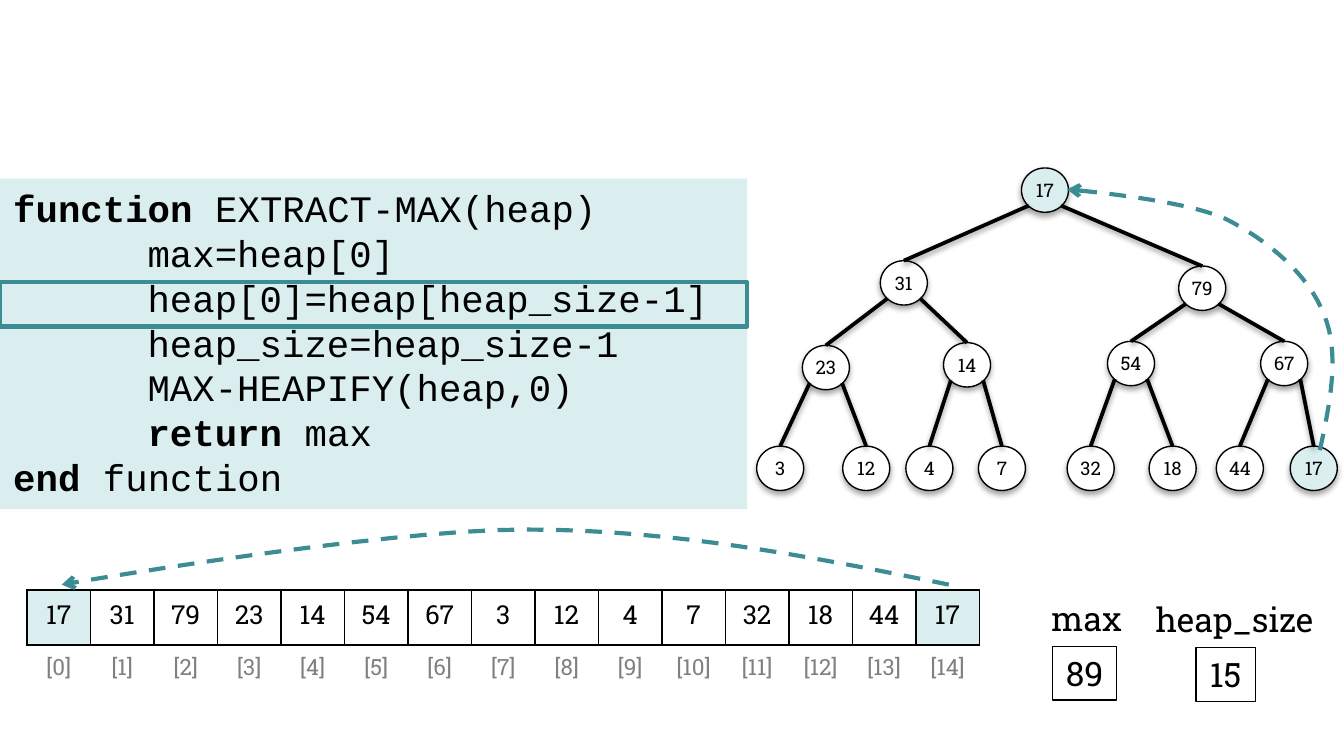
from dataclasses import dataclass
from typing import Optional

from lxml.etree import SubElement
from pptx import Presentation
from pptx.dml.color import RGBColor
from pptx.enum.dml import MSO_LINE_DASH_STYLE as Dash
from pptx.enum.shapes import MSO_CONNECTOR as Connector, MSO_SHAPE as Preset
from pptx.enum.text import MSO_ANCHOR as Anchor, PP_ALIGN as Align
from pptx.oxml.ns import qn
from pptx.util import Inches, Pt

BLACK = RGBColor(0x00, 0x00, 0x00)
WHITE = RGBColor(0xFF, 0xFF, 0xFF)
GRAY = RGBColor(0x80, 0x80, 0x80)
TEAL = RGBColor(0x3C, 0x8C, 0x93)
PALE = RGBColor(0xDA, 0xED, 0xEF)
SLAB, CODE = "Roboto Slab", "Courier New"
NO_STYLE = "{2D5ABB26-0587-4C30-8999-92F81FD0307C}"

NODE_WIDTH, NODE_HEIGHT = 0.35, 0.33
EDGE_SPREAD, EDGE_DROP = 0.12, 0.28
HEAP = [17, 31, 79, 23, 14, 54, 67, 3, 12, 4, 7, 32, 18, 44, 17]
MOVED = (0, len(HEAP) - 1)
LEAF_TOP = 3.32
NODE_PLACES = [
    (7.6, 1.25), (6.55, 1.94), (8.77, 1.98),
    (5.97, 2.57), (7.02, 2.55), (8.24, 2.54), (9.38, 2.54),
    *((left, LEAF_TOP) for left in (5.63, 6.27, 6.74, 7.28, 7.94, 8.55, 9.05, 9.6)),
]
CODE_LINES = [
    [("function", True), (" EXTRACT-MAX(heap)", False)],
    [("\tmax=heap[0]", False)],
    [("\theap[0]=heap[heap_size-1]", False)],
    [("\theap_size=heap_size-1", False)],
    [("\tMAX-HEAPIFY(heap,0)", False)],
    [("\t", False), ("return ", True), ("max", False)],
    [("end ", True), ("function", False)],
]
MOVE_ARROWS = [
    [(7.06, 4.35), (6.03, 4.14), (5.01, 3.94), (3.91, 3.94),
     (2.81, 3.94), (0.46, 4.35), (0.46, 4.35)],
    [(9.82, 3.35), (9.9, 2.99), (9.97, 2.62), (9.85, 2.34), (9.74, 2.05),
     (9.44, 1.79), (9.12, 1.63), (8.8, 1.48), (7.94, 1.41), (7.94, 1.41)],
]
Point = tuple[float, float]

@dataclass
class Area:
    left: float
    top: float
    width: float
    height: float

    def lengths(self) -> list:
        return [Inches(v) for v in (self.left, self.top, self.width, self.height)]

@dataclass
class Variable:
    name: str
    value: str
    label: Area
    frame: Area
    fill: Optional[RGBColor]

VARIABLES = [
    Variable("heap_size", "15", Area(8.49, 4.41, 1.39, 0.4), Area(8.9, 4.82, 0.44, 0.4), None),
    Variable("max", "89", Area(7.72, 4.4, 0.73, 0.4), Area(7.83, 4.81, 0.48, 0.4), WHITE),
]

def paint(fill, color: Optional[RGBColor]) -> None:
    if color is None:
        fill.background()
    else:
        fill.solid()
        fill.fore_color.rgb = color

def add_shadow(properties, alpha: int, distance: float) -> None:
    effects = SubElement(properties, qn("a:effectLst"))
    shadow = SubElement(effects, qn("a:outerShdw"), blurRad=str(Pt(3.1)),
                        dist=str(Pt(distance)), dir="5400000", rotWithShape="0")
    color = SubElement(shadow, qn("a:srgbClr"), val=str(BLACK))
    SubElement(color, qn("a:alpha"), val=str(alpha * 1000))

def write(frame, text: str, size: float, color: RGBColor = BLACK) -> None:
    para = frame.paragraphs[0]
    para.text, para.alignment = text, Align.CENTER
    para.font.size, para.font.name = Pt(size), SLAB
    para.font.color.rgb = color

def add_box(page, preset: Preset, area: Area, fill: Optional[RGBColor],
            line: Optional[RGBColor], weight: float = 0.75):
    box = page.shapes.add_shape(preset, *area.lengths())
    paint(box.fill, fill)
    paint(box.line.fill, line)
    box.line.width = Pt(weight)
    box.shadow.inherit = False
    return box

def add_code(page) -> None:
    box = add_box(page, Preset.RECTANGLE, Area(0, 1.33, 5.56, 2.46), PALE, None)
    frame = box.text_frame
    frame.word_wrap, frame.vertical_anchor = True, Anchor.TOP
    for number, spans in enumerate(CODE_LINES):
        para = frame.add_paragraph() if number else frame.paragraphs[0]
        para.alignment = Align.LEFT
        tabs = SubElement(para._p.get_or_add_pPr(), qn("a:tabLst"))
        SubElement(tabs, qn("a:tab"), pos=str(Inches(1)), algn="l")
        para.font.size, para.font.name = Pt(20), CODE
        para.font.color.rgb = BLACK
        for text, bold in spans:
            span = para.add_run()
            span.text, span.font.bold = text, bold
    add_box(page, Preset.RECTANGLE, Area(0, 2.1, 5.56, 0.33), None, TEAL, 2.25)

def add_node(page, index: int) -> None:
    area = Area(*NODE_PLACES[index], NODE_WIDTH, NODE_HEIGHT)
    node = add_box(page, Preset.OVAL, area, PALE if index in MOVED else WHITE, BLACK)
    properties = node._element.spPr
    properties.remove(properties.find(qn("a:effectLst")))
    add_shadow(properties, 35, 1.8)
    frame = node.text_frame
    frame.margin_left = frame.margin_right = Inches(0.04)
    frame.word_wrap = False
    write(frame, str(HEAP[index]), 10)

def add_edge(page, child: int) -> None:
    parent_left, parent_top = NODE_PLACES[(child - 1) // 2]
    child_left, child_top = NODE_PLACES[child]
    center = NODE_WIDTH / 2
    side = -EDGE_SPREAD if child % 2 else EDGE_SPREAD
    ends = (parent_left + center + side, parent_top + EDGE_DROP,
            child_left + center, child_top)
    edge = page.shapes.add_connector(Connector.STRAIGHT, *map(Inches, ends))
    edge.line.color.rgb = BLACK
    edge.line.width = Pt(2)
    add_shadow(edge._element.spPr, 38, 1.6)

def set_border(cell, sides: str) -> None:
    properties = cell._tc.get_or_add_tcPr()
    for side in "LRTB":
        line = SubElement(properties, qn(f"a:ln{side}"), w=str(Pt(1)))
        if side in sides:
            fill = SubElement(line, qn("a:solidFill"))
            SubElement(fill, qn("a:srgbClr"), val=str(BLACK))
        else:
            SubElement(line, qn("a:noFill"))

def add_array(page) -> None:
    area = Area(0.2, 4.39, 7.09, 0.82)
    table = page.shapes.add_table(2, len(HEAP), *area.lengths()).table
    table._tbl.tblPr.find(qn("a:tableStyleId")).text = NO_STYLE
    table.first_row = table.horz_banding = False
    for index, value in enumerate(HEAP):
        table.columns[index].width = Inches(area.width / len(HEAP))
        rows = [(str(value), 14, BLACK, "LRTB"), (f"[{index}]", 12, GRAY, "T")]
        for row, (text, size, color, sides) in enumerate(rows):
            cell = table.cell(row, index)
            cell.margin_left = cell.margin_right = 0
            set_border(cell, sides)
            paint(cell.fill, PALE if row == 0 and index in MOVED else None)
            write(cell.text_frame, text, size, color)

def add_variable(page, variable: Variable) -> None:
    label = page.shapes.add_textbox(*variable.label.lengths())
    frame = add_box(page, Preset.RECTANGLE, variable.frame, variable.fill, BLACK)
    for box, text in ((label, variable.name), (frame, variable.value)):
        box.text_frame.word_wrap = False
        box.text_frame.vertical_anchor = Anchor.TOP
        write(box.text_frame, text, 18)

def bezier(points: list[Point], t: float) -> Point:
    weights = ((1 - t) ** 3, 3 * t * (1 - t) ** 2, 3 * t * t * (1 - t), t ** 3)
    x, y = (sum(w * p[axis] for w, p in zip(weights, points)) for axis in (0, 1))
    return Inches(x), Inches(y)

def add_move_arrow(page, controls: list[Point], steps: int = 16) -> None:
    curve = [bezier(controls[first:first + 4], step / steps)
             for first in range(0, len(controls) - 1, 3) for step in range(1, steps + 1)]
    builder = page.shapes.build_freeform(*map(Inches, controls[0]))
    arrow = builder.add_line_segments(curve, close=False).convert_to_shape()
    arrow.fill.background()
    arrow.line.color.rgb = TEAL
    arrow.line.width = Pt(2.25)
    arrow.line.dash_style = Dash.DASH
    SubElement(arrow.line._get_or_add_ln(), qn("a:tailEnd"), type="arrow")
    arrow.shadow.inherit = False

def main() -> None:
    deck = Presentation()
    deck.slide_width, deck.slide_height = Inches(10), Inches(10 * 9 / 16)
    page = deck.slides.add_slide(deck.slide_layouts[6])
    add_code(page)
    for index in range(len(HEAP)):
        add_node(page, index)
    for child in range(1, len(HEAP)):
        add_edge(page, child)
    add_array(page)
    for variable in VARIABLES:
        add_variable(page, variable)
    for controls in MOVE_ARROWS:
        add_move_arrow(page, controls)
    deck.save("out.pptx")

if __name__ == "__main__":
    main()
